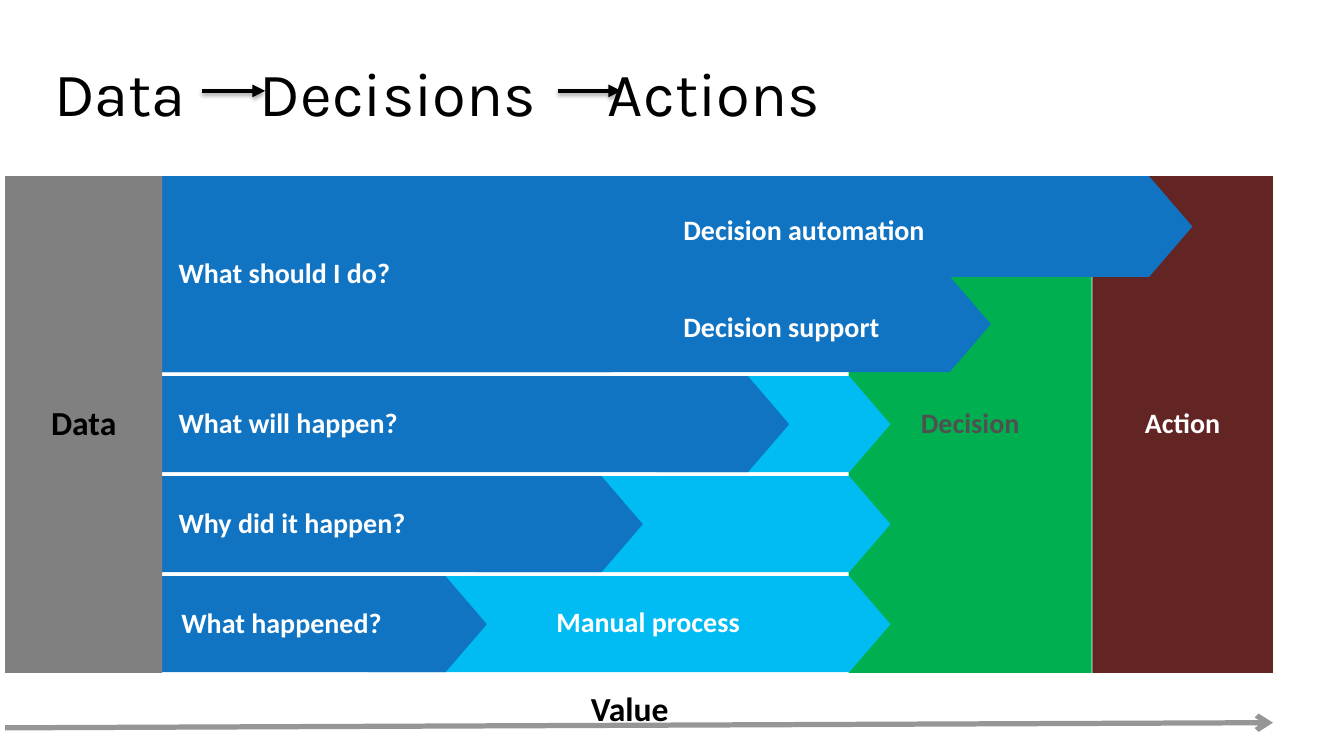
from lxml import etree
from pptx import Presentation
from pptx.dml.color import RGBColor
from pptx.enum.shapes import MSO_CONNECTOR, MSO_SHAPE
from pptx.enum.text import MSO_ANCHOR, PP_ALIGN
from pptx.oxml.ns import qn
from pptx.util import Cm, Pt

RECTANGLE = MSO_SHAPE.RECTANGLE
PENTAGON = MSO_SHAPE.PENTAGON
STRAIGHT = MSO_CONNECTOR.STRAIGHT
MIDDLE, TOP = MSO_ANCHOR.MIDDLE, MSO_ANCHOR.TOP
LEFT, CENTER = PP_ALIGN.LEFT, PP_ALIGN.CENTER

COLORS = {
    "analytics": "1074C3", "manual": "00BCF2", "data": "808080",
    "decision": "00B050", "action": "632523", "value": "969696",
    "black": "000000", "white": "FFFFFF", "slate": "505050",
}

TITLE_WORDS = ["Data", "Decisions", "Actions"]
TITLE_STARTS = [1.37, 6.55, 15.32]
TITLE_ARROW_STARTS = [5.08, 14.05]

OUTCOMES = [
    ("Action", 27.53, 4.55, "action", "white"),
    ("Decision", 21.39, 6.12, "decision", "slate"),
]
# question, row, left, analytics end, manual start
QUESTIONS = [
    ("Why did it happen?", 3, 3.99, 16.2, 12.01),
    ("What will happen?", 2, 3.99, 19.89, 16.54),
    ("", 1, 3.99, 24.97, None),
    ("", 0, 3.99, 30.05, None),
    ("What happened?", 4, 4.06, 12.27, 9.27),
]
# text, left, top, width, size, color
LABELS = [
    ("Decision automation", 16.71, 5.08, 8, 20, "white"),
    ("Decision support", 16.71, 7.52, 8, 20, "white"),
    ("Manual process", 13.51, 14.94, 9.35, 20, "white"),
    ("Value", 14.38, 17.04, 3.43, 24, "black"),
]

CHART_TOP, CHART_HEIGHT = 4.44, 12.52
ROW_PITCH, ROW_HEIGHT, TOP_ROW_HEIGHT = 2.52, 2.42, 2.54
MANUAL_END = 22.44

prs = Presentation()
prs.slide_width, prs.slide_height = Cm(33.87), Cm(19.05)
slide = prs.slides.add_slide(prs.slide_layouts[6])


def rgb(name):
    return RGBColor.from_string(COLORS[name])


def write(shape, text, size, color, anchor=MIDDLE, align=LEFT):
    frame = shape.text_frame
    frame.word_wrap = True
    frame.vertical_anchor = anchor
    frame.margin_left = frame.margin_right = Cm(0.51)
    frame.margin_top = frame.margin_bottom = Cm(0.41)
    frame.text = text
    paragraph = frame.paragraphs[0]
    paragraph.alignment = align
    paragraph.line_spacing = 0.9
    font = paragraph.runs[0].font
    font.name, font.size, font.bold = "Calibri", Pt(size), True
    font.color.rgb = rgb(color)


def add_block(kind, left, top, width, height, fill):
    block = slide.shapes.add_shape(kind, Cm(left), Cm(top), Cm(width), Cm(height))
    block.shadow.inherit = False
    block.fill.solid()
    block.fill.fore_color.rgb = rgb(fill)
    block.line.fill.background()
    if kind == PENTAGON:
        block.adjustments[0] = 0.43
    return block


def add_arrow(x1, y1, x2, y2, color, width, head):
    arrow = slide.shapes.add_connector(STRAIGHT, Cm(x1), Cm(y1), Cm(x2), Cm(y2))
    arrow.line.color.rgb = rgb(color)
    arrow.line.width = Pt(width)
    etree.SubElement(arrow.line._get_or_add_ln(), qn("a:tailEnd"), type=head)
    return etree.SubElement(arrow._element.spPr, qn("a:effectLst"))


for outcome, left, width, fill, color in OUTCOMES:
    block = add_block(RECTANGLE, left, CHART_TOP, width, CHART_HEIGHT, fill)
    write(block, outcome, 20, color, align=CENTER)

for question, row, left, end, manual_start in QUESTIONS:
    top = CHART_TOP + row * ROW_PITCH
    height = ROW_HEIGHT if row else TOP_ROW_HEIGHT
    if manual_start:
        add_block(PENTAGON, manual_start, top, MANUAL_END - manual_start, height, "manual")
    analytics = add_block(PENTAGON, left, top, end - left, height, "analytics")
    if question:
        write(analytics, question, 20, "white")

prescription = add_block(RECTANGLE, 3.99, CHART_TOP, 11.43, ROW_PITCH + ROW_HEIGHT, "analytics")
write(prescription, "What should I do?", 20, "white")

data = add_block(RECTANGLE, 0.13, CHART_TOP, 3.96, CHART_HEIGHT, "data")
write(data, "Data", 24, "black", align=CENTER)

add_arrow(0.13, 18.34, 32.08, 18.21, "value", 3.75, "arrow")
for text, left, top, width, size, color in LABELS:
    label = slide.shapes.add_textbox(Cm(left), Cm(top), Cm(width), Cm(1.6))
    write(label, text, size, color, anchor=TOP)

title = slide.shapes.add_textbox(Cm(TITLE_STARTS[0]), Cm(1.75), Cm(20.96), Cm(1.45))
frame = title.text_frame
frame.word_wrap = True
frame.margin_left = frame.margin_right = frame.margin_top = frame.margin_bottom = 0
frame.text = "\t".join(TITLE_WORDS)
heading = frame.paragraphs[0]
heading.line_spacing = 0.8
tabs = etree.SubElement(heading._p.get_or_add_pPr(), qn("a:tabLst"))
for start in TITLE_STARTS[1:]:
    etree.SubElement(tabs, qn("a:tab"), pos=str(Cm(start - TITLE_STARTS[0])), algn="l")
for run in heading.runs:
    run.font.name, run.font.size = "Karla", Pt(44)
    run.font.color.rgb = rgb("black")

for start in TITLE_ARROW_STARTS:
    effects = add_arrow(start, 2.29, start + 1.6, 2.29, "black", 3, "triangle")
    shadow = etree.SubElement(effects, qn("a:outerShdw"), blurRad=str(Pt(3.1)),
                              dist=str(Pt(1.8)), dir="5400000", rotWithShape="0")
    shade = etree.SubElement(shadow, qn("a:srgbClr"), val=COLORS["black"])
    etree.SubElement(shade, qn("a:alpha"), val="35000")

prs.save("out.pptx")
